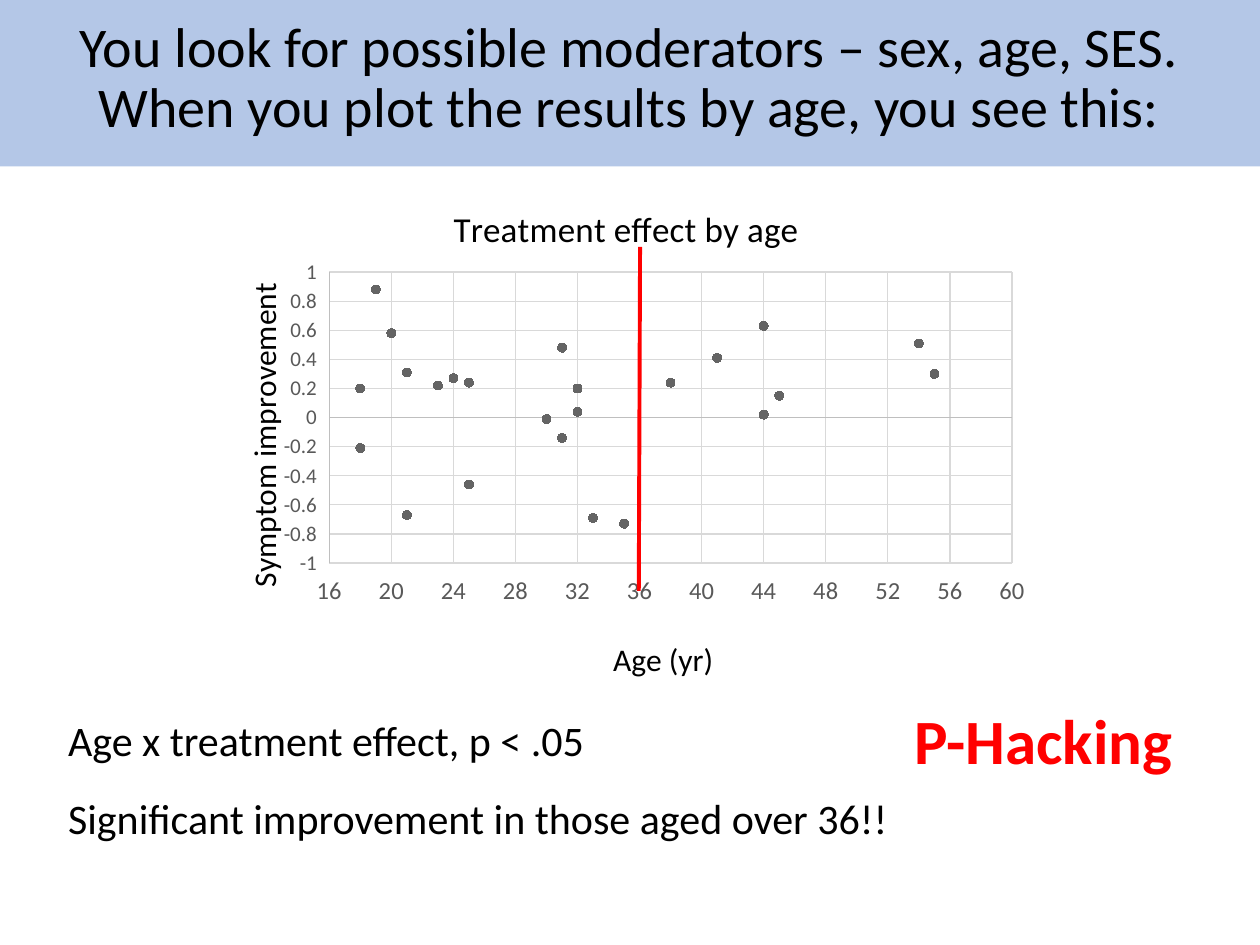
from lxml import etree
from pptx import Presentation
from pptx.chart.data import XyChartData
from pptx.dml.color import RGBColor
from pptx.enum.chart import (XL_CHART_TYPE, XL_MARKER_STYLE, XL_TICK_LABEL_POSITION,
                             XL_TICK_MARK)
from pptx.enum.shapes import MSO_CONNECTOR, MSO_SHAPE
from pptx.enum.text import MSO_ANCHOR, MSO_AUTO_SIZE, PP_ALIGN
from pptx.oxml.ns import qn
from pptx.util import Inches, Pt

SCATTER = XL_CHART_TYPE.XY_SCATTER
CIRCLE = XL_MARKER_STYLE.CIRCLE
LOW = XL_TICK_LABEL_POSITION.LOW
NO_TICK = XL_TICK_MARK.NONE
STRAIGHT = MSO_CONNECTOR.STRAIGHT
RECTANGLE = MSO_SHAPE.RECTANGLE
MIDDLE, TOP = MSO_ANCHOR.MIDDLE, MSO_ANCHOR.TOP
NO_AUTOFIT = MSO_AUTO_SIZE.NONE
CENTER = PP_ALIGN.CENTER

FONT = "Calibri"
BLACK = RGBColor(0x00, 0x00, 0x00)
RED = RGBColor(0xFF, 0x00, 0x00)
BAND_BLUE = RGBColor(0xB4, 0xC7, 0xE7)
DOT_GREY = RGBColor(0x64, 0x64, 0x64)
LABEL_GREY = RGBColor(0x59, 0x59, 0x59)
AXIS_GREY = RGBColor(0xBF, 0xBF, 0xBF)
GRID_GREY = RGBColor(0xD9, 0xD9, 0xD9)

# (age, symptom improvement)
PATIENTS = [
    (18, -0.21), (18, 0.2), (19, 0.88), (20, 0.58), (21, -0.67), (21, 0.31),
    (23, 0.22), (24, 0.27), (25, 0.24), (25, -0.46), (30, -0.01), (45, 0.15),
    (31, -0.14), (31, 0.48), (32, 0.2), (38, 0.24), (32, 0.04), (33, -0.69),
    (35, -0.73), (41, 0.41), (44, 0.02), (44, 0.63), (54, 0.51), (55, 0.3),
]
FINDINGS = ["Age x treatment effect, p < .05",
            "Significant improvement in those aged over 36!!"]


def set_font(font, size, color=BLACK, bold=False):
    font.name, font.size, font.bold = FONT, Pt(size), bold
    font.color.rgb = color


def place(shape, left, top, width, height):
    shape.left, shape.top = Inches(left), Inches(top)
    shape.width, shape.height = Inches(width), Inches(height)


def make_layout(**values):
    """Manual chart layout, as fractions of the chart's size."""
    layout = etree.Element(qn("c:layout"))
    manual = etree.SubElement(layout, qn("c:manualLayout"))
    for tag, value in values.items():
        etree.SubElement(manual, qn("c:" + tag)).set("val", str(value))
    return layout


def add_band(slide):
    band = slide.shapes.add_shape(RECTANGLE, 0, 0, Inches(10), Inches(1.32))
    band.shadow.inherit = False
    band.fill.solid()
    band.fill.fore_color.rgb = BAND_BLUE
    band.line.fill.background()
    slide.shapes._spTree.insert(2, band._element)  # behind the title


def fill_title(title, text):
    place(title, 0.34, 0, 9.31, 1.26)
    frame = title.text_frame
    frame.text = text
    frame.auto_size = NO_AUTOFIT
    frame.vertical_anchor = MIDDLE
    paragraph = frame.paragraphs[0]
    paragraph.alignment = CENTER
    paragraph.line_spacing = 0.9
    set_font(paragraph.font, 32)


def fill_findings(body, lines):
    place(body, 0.44, 5.62, 9.22, 1.57)
    frame = body.text_frame
    frame.text = "\n".join(lines)
    frame.auto_size = NO_AUTOFIT
    frame.vertical_anchor = TOP
    for paragraph in frame.paragraphs:
        paragraph.space_before, paragraph.space_after = Pt(10), Pt(6)
        properties = paragraph._p.get_or_add_pPr()
        properties.set("marL", "0")
        properties.set("indent", "0")
        etree.SubElement(properties, qn("a:buNone"))
        set_font(paragraph.font, 24)


def set_chart_title(title, text, size, x, y):
    frame = title.text_frame
    frame.text = text
    set_font(frame.paragraphs[0].font, size)
    element = title._element
    for old in element.findall(qn("c:layout")):
        element.remove(old)
    element.find(qn("c:tx")).addnext(
        make_layout(xMode="edge", yMode="edge", x=x, y=y))


def style_axis(axis, low, high, step, label_size):
    axis.minimum_scale, axis.maximum_scale, axis.major_unit = low, high, step
    axis.major_tick_mark = axis.minor_tick_mark = NO_TICK
    axis.tick_label_position = LOW
    set_font(axis.tick_labels.font, label_size, LABEL_GREY)
    axis.tick_labels.number_format = "General"
    axis.tick_labels.number_format_is_linked = False
    axis.has_major_gridlines = True
    for line, color in ((axis.format.line, AXIS_GREY),
                        (axis.major_gridlines.format.line, GRID_GREY)):
        line.color.rgb = color
        line.width = Pt(0.75)


def add_age_chart(slide):
    data = XyChartData()
    patients = data.add_series("Series 1")
    for age, improvement in PATIENTS:
        patients.add_data_point(age, improvement)
    chart = slide.shapes.add_chart(SCATTER, Inches(1.61), Inches(1.32),
                                   Inches(6.69), Inches(4.2), data).chart
    set_font(chart.font, 10)
    chart.has_legend = False
    chart.plots[0].vary_by_categories = False

    # Axes and titles
    age_axis, improvement_axis = chart.category_axis, chart.value_axis
    style_axis(age_axis, 16, 60, 4, 14)
    style_axis(improvement_axis, -1, 1, 0.2, 12)
    set_chart_title(chart.chart_title, "Treatment effect by age", 20, 0.29, 0.06)
    set_chart_title(age_axis.axis_title, "Age (yr)", 18, 0.48, 0.88)
    set_chart_title(improvement_axis.axis_title, "Symptom improvement", 18, 0.04, 0.21)
    rotation = improvement_axis.axis_title.text_frame._txBody.find(qn("a:bodyPr"))
    rotation.set("rot", "-5400000")
    rotation.set("vert", "horz")

    # Plot area
    plot_area = chart._chartSpace.chart.plotArea
    for old in plot_area.findall(qn("c:layout")):
        plot_area.remove(old)
    plot_area.insert(0, make_layout(layoutTarget="inner", xMode="edge", yMode="edge",
                                    x=0.15, y=0.2, w=0.81, h=0.55))

    # Dots only
    dots = chart.plots[0].series[0]
    dots.smooth = False
    dots.format.line.fill.background()
    dots.marker.style, dots.marker.size = CIRCLE, 5
    dots.marker.format.fill.solid()
    dots.marker.format.fill.fore_color.rgb = DOT_GREY
    dots.marker.format.line.color.rgb = DOT_GREY


def add_cutoff(slide):
    cutoff = slide.shapes.add_connector(STRAIGHT, Inches(5.08), Inches(1.96),
                                        Inches(5.07), Inches(4.69))
    cutoff.line.color.rgb = RED
    cutoff.line.width = Pt(2.25)
    etree.SubElement(cutoff._element.spPr, qn("a:effectLst"))


def add_verdict(slide):
    verdict = slide.shapes.add_textbox(Inches(7.16), Inches(5.52),
                                       Inches(2.27), Inches(0.71))
    frame = verdict.text_frame
    frame.word_wrap = False
    frame.text = "P-Hacking"
    set_font(frame.paragraphs[0].font, 36, RED, bold=True)


def main():
    prs = Presentation()
    prs.slide_width, prs.slide_height = Inches(10), Inches(7.5)
    slide = prs.slides.add_slide(prs.slide_layouts[1])
    add_band(slide)
    fill_title(slide.shapes.title, "You look for possible moderators – sex, age, SES. "
               "When you plot the results by age, you see this:")
    fill_findings(slide.placeholders[1], FINDINGS)
    add_age_chart(slide)
    add_cutoff(slide)
    add_verdict(slide)
    prs.save("out.pptx")


if __name__ == "__main__":
    main()
